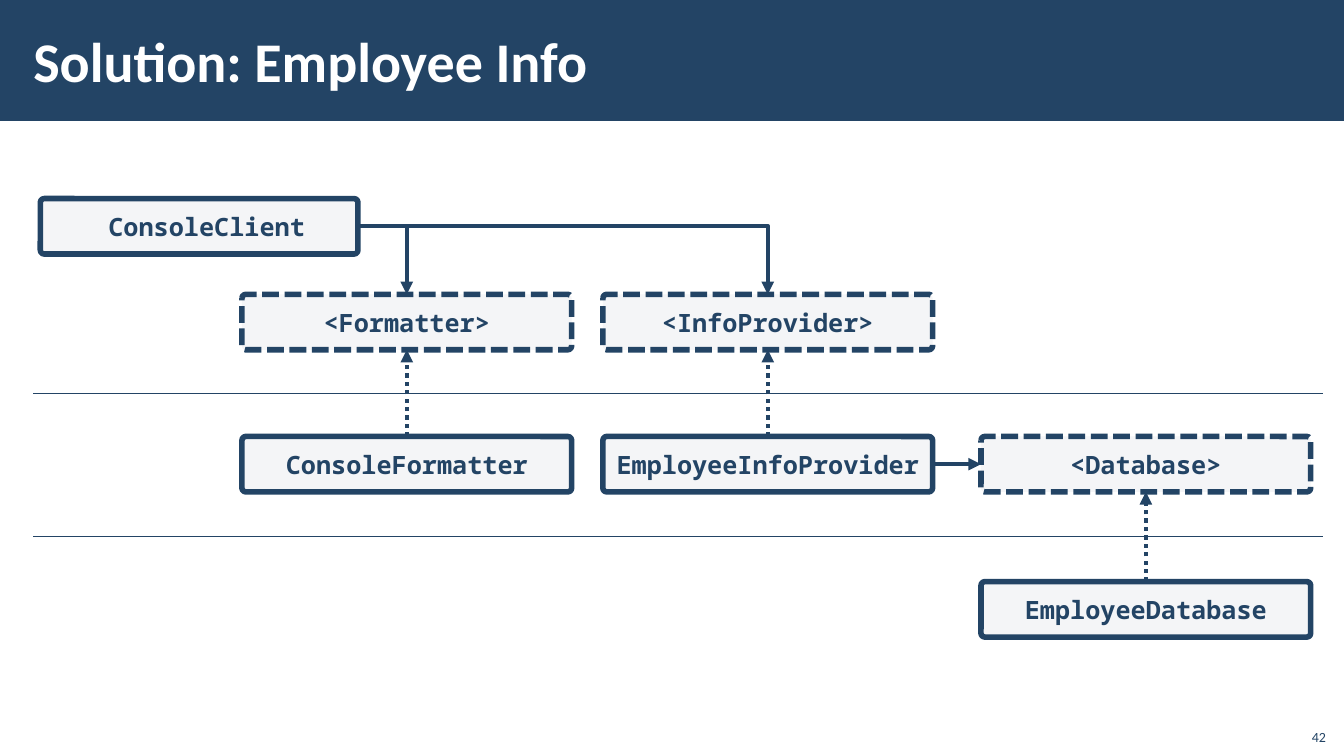
"""Draws the employee info class diagram, with its three layers, on one slide."""
from dataclasses import dataclass
from typing import Any, Optional

import lxml.etree
import pptx
import pptx.dml.color
import pptx.enum.dml
import pptx.enum.shapes
import pptx.enum.text
import pptx.oxml.ns
import pptx.util

Inches = pptx.util.Inches
Pt = pptx.util.Pt
RGB = pptx.dml.color.RGBColor
Dash = pptx.enum.dml.MSO_LINE
Kind = pptx.enum.shapes.MSO_CONNECTOR
Form = pptx.enum.shapes.MSO_SHAPE
Align = pptx.enum.text.PP_ALIGN
Anchor = pptx.enum.text.MSO_ANCHOR
qn = pptx.oxml.ns.qn

TOP, LEFT, BOTTOM, RIGHT = range(4)
WIDE, HIGH = 13.33, 7.5
COLS = (0.4, 2.4, 5.98, 9.73)
ROWS = (1.97, 2.92, 4.33, 5.77)
BOX_H = 0.55


@dataclass(frozen=True)
class Theme:
    navy: RGB = RGB.from_string("234465")
    pale: RGB = RGB.from_string("F4F5F7")
    white: RGB = RGB.from_string("FFFFFF")
    sans: str = "Calibri"
    mono: str = "Noto Sans Mono"
    title: float = 40
    label: float = 18
    small: float = 10
    edge: float = 4
    arrow: float = 3
    rule: float = 0.5


@dataclass(frozen=True)
class Box:
    text: str
    col: int
    row: int
    width: float = 3.27
    dash: Optional[Dash] = None


@dataclass(frozen=True)
class Link:
    start: str
    side: int
    end: str
    goal: int
    dash: Optional[Dash] = None
    bent: bool = False


THEME = Theme()

BOXES = (
    Box(" ConsoleClient", 0, 0, width=3.15),
    Box("<Formatter>", 1, 1, dash=Dash.SQUARE_DOT),
    Box("<InfoProvider>", 2, 1, dash=Dash.SQUARE_DOT),
    Box("ConsoleFormatter", 1, 2),
    Box("EmployeeInfoProvider", 2, 2),
    Box("<Database>", 3, 2, dash=Dash.SQUARE_DOT),
    Box("EmployeeDatabase", 3, 3),
)

LINKS = (
    Link("ConsoleFormatter", TOP, "<Formatter>", BOTTOM, Dash.ROUND_DOT),
    Link("EmployeeInfoProvider", TOP, "<InfoProvider>", BOTTOM, Dash.ROUND_DOT),
    Link("EmployeeDatabase", TOP, "<Database>", BOTTOM, Dash.ROUND_DOT),
    Link("ConsoleClient", RIGHT, "<Formatter>", TOP, bent=True),
    Link("ConsoleClient", RIGHT, "<InfoProvider>", TOP, bent=True),
    Link("EmployeeInfoProvider", RIGHT, "<Database>", LEFT),
)


def write(frame: Any, text: str, font: str, size: float, color: RGB,
          bold: bool, align: Align, anchor: Anchor) -> None:
    frame.text = text
    frame.word_wrap = True
    frame.vertical_anchor = anchor
    para = frame.paragraphs[0]
    para.alignment = align
    for run in para.runs:
        run.font.name = font
        run.font.size = Pt(size)
        run.font.bold = bold
        run.font.color.rgb = color


def paint(shape: Any, color: RGB) -> None:
    shape.shadow.inherit = False
    shape.fill.solid()
    shape.fill.fore_color.rgb = color


def stroke(line: Any, width: float, dash: Optional[Dash] = None) -> None:
    line.color.rgb = THEME.navy
    line.width = Pt(width)
    if dash is not None:
        line.dash_style = dash


def header(slide: Any, text: str) -> None:
    title = slide.shapes.title
    title.left, title.top = Inches(0.21), Inches(0.11)
    title.width, title.height = Inches(10.63), Inches(0.97)
    frame = title.text_frame
    frame.auto_size = pptx.enum.text.MSO_AUTO_SIZE.NONE
    frame.margin_left = frame.margin_right = Inches(0.12)
    frame.margin_top = frame.margin_bottom = Inches(0.04)
    write(frame, text, THEME.sans, THEME.title, THEME.white, True,
          Align.LEFT, Anchor.MIDDLE)
    bar = slide.shapes.add_shape(
        Form.RECTANGLE, 0, 0, Inches(WIDE), Inches(HIGH * 0.16))
    paint(bar, THEME.navy)
    bar.line.fill.background()
    title.element.addprevious(bar.element)


def footer(slide: Any, text: str) -> None:
    page = slide.shapes.add_textbox(
        Inches(12.85), Inches(7.12), Inches(0.4), Inches(0.32))
    write(page.text_frame, text, THEME.sans, THEME.small, THEME.navy, False,
          Align.RIGHT, Anchor.BOTTOM)


def draw_box(slide: Any, box: Box) -> Any:
    shape = slide.shapes.add_shape(
        Form.ROUNDED_RECTANGLE, Inches(COLS[box.col]), Inches(ROWS[box.row]),
        Inches(box.width), Inches(BOX_H))
    shape.adjustments[0] = 0.07
    paint(shape, THEME.pale)
    stroke(shape.line, THEME.edge, box.dash)
    frame = shape.text_frame
    frame.margin_left = frame.margin_right = Inches(0.05)
    write(frame, box.text, THEME.mono, THEME.label, THEME.navy, True,
          Align.CENTER, Anchor.MIDDLE)
    return shape


def draw_link(slide: Any, link: Link, shapes: dict[str, Any]) -> None:
    kind = Kind.ELBOW if link.bent else Kind.STRAIGHT
    line = slide.shapes.add_connector(kind, 0, 0, 0, 0)
    line.begin_connect(shapes[link.start], link.side)
    line.end_connect(shapes[link.end], link.goal)
    stroke(line.line, THEME.arrow, link.dash)
    props = line.element.spPr
    if link.bent:
        props.find(qn("a:prstGeom")).set("prst", "bentConnector2")
    head = lxml.etree.SubElement(props.find(qn("a:ln")), qn("a:tailEnd"))
    head.set("type", "triangle")
    lxml.etree.SubElement(props, qn("a:effectLst"))


def draw_rule(slide: Any, row: int) -> None:
    mid = Inches((ROWS[row] + BOX_H + ROWS[row + 1]) / 2)
    line = slide.shapes.add_connector(
        Kind.STRAIGHT, Inches(0.33), mid, Inches(13.12), mid)
    stroke(line.line, THEME.rule)
    lxml.etree.SubElement(line.element.spPr, qn("a:effectLst"))


def main() -> None:
    deck = pptx.Presentation()
    deck.slide_width, deck.slide_height = Inches(WIDE), Inches(HIGH)
    slide = deck.slides.add_slide(deck.slide_layouts.get_by_name("Title Only"))
    header(slide, "Solution: Employee Info")
    shapes = {box.text.strip(): draw_box(slide, box) for box in BOXES}
    for link in LINKS:
        draw_link(slide, link, shapes)
    for row in (1, 2):
        draw_rule(slide, row)
    footer(slide, "42")
    deck.save("out.pptx")


if __name__ == "__main__":
    main()
